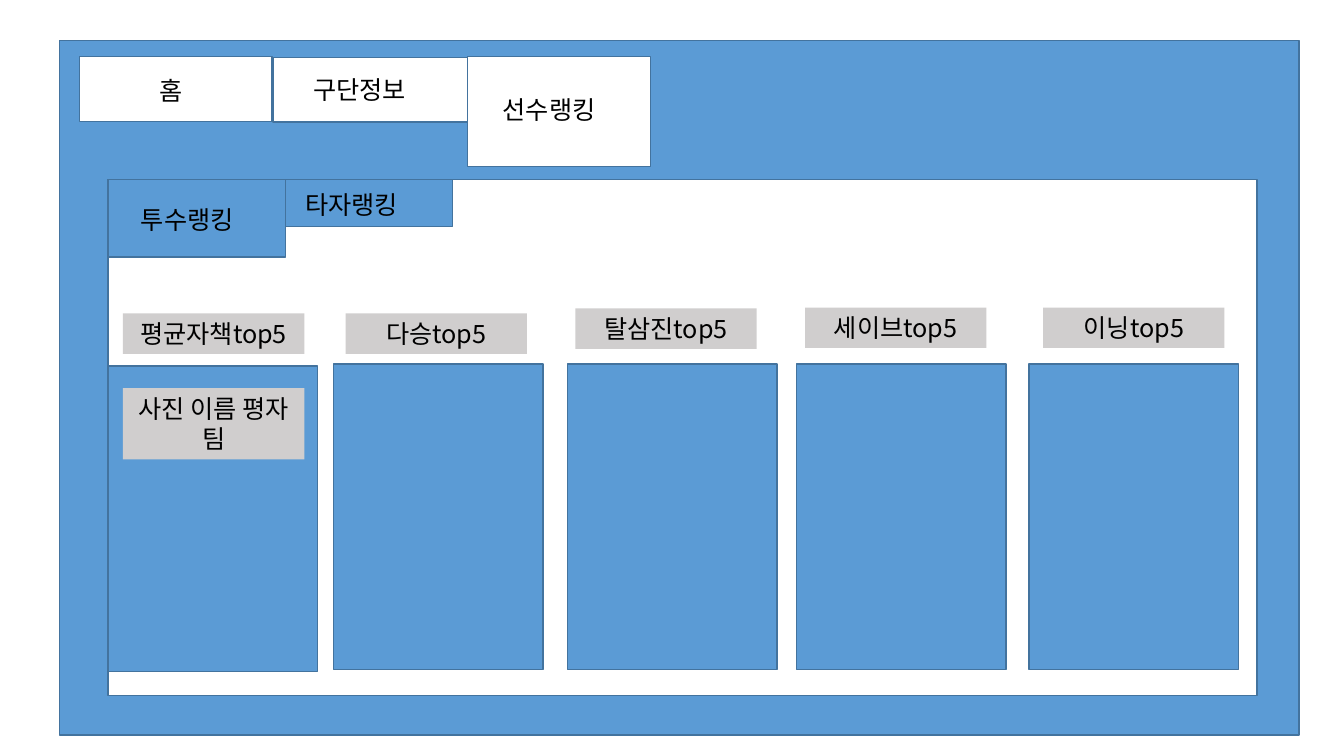
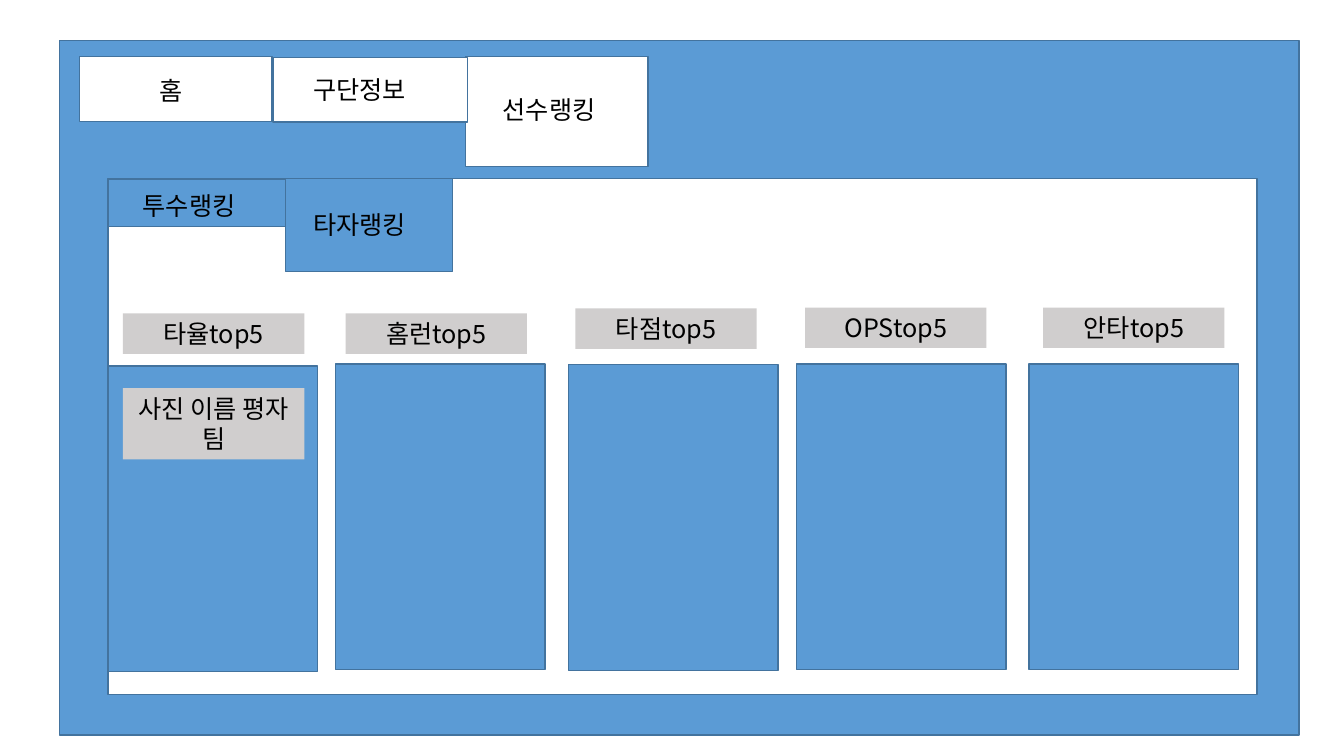
from dataclasses import dataclass
from lxml.etree import SubElement as Sub
from pptx import Presentation as Deck
from pptx.dml.color import RGBColor as Rgb
from pptx.enum.shapes import MSO_SHAPE as Kind
from pptx.enum.text import MSO_ANCHOR as Anchor, MSO_AUTO_SIZE as Fit, PP_ALIGN as Align
from pptx.oxml.ns import qn
from pptx.util import Cm, Pt

BLUE, EDGE, WHITE, GREY, BLACK = "5B9BD5", "43739E", "FFFFFF", "D0CECE", "000000"
FONT = "Noto Sans CJK KR"
ROW = 1.02
CARD = (5.28, 7.7)
LABEL = 4.57


@dataclass(frozen=True)
class Box:
    x: float
    y: float
    w: float
    h: float

    def size(self) -> tuple:
        return Cm(self.x), Cm(self.y), Cm(self.w), Cm(self.h)


@dataclass(frozen=True)
class Tab:
    name: str
    box: Box
    text: Box


@dataclass(frozen=True)
class Page:
    menu: float
    panel: float
    tabs: tuple[Tab, ...]
    cards: tuple[tuple[float, float], ...]
    names: tuple[str, ...]


FRAME = Box(1.5, 1.02, 31.24, 17.5)
ITEM = Box(3.1, 9.78, LABEL, 1.8)
HEADS = ((3.1, 7.9), (8.71, 7.9), (14.5, 7.77), (20.29, 7.75), (26.29, 7.75))

PAGES = (
    Page(
        11.79, 4.52,
        (Tab("투수랭킹", Box(2.72, 4.52, 4.47, 1.96), Box(3.3, 5.03, 3.68, ROW)),
         Tab("타자랭킹", Box(7.19, 4.52, 4.22, 1.19), Box(7.44, 4.65, 3.68, ROW))),
        ((2.72, 9.22), (8.41, 9.17), (14.3, 9.17), (20.07, 9.17), (25.93, 9.17)),
        ("평균자책top5", "다승top5", "탈삼진top5", "세이브top5", "이닝top5"),
    ),
    Page(
        11.73, 4.5,
        (Tab("투수랭킹", Box(2.72, 4.52, 4.47, 1.19), Box(3.35, 4.67, 3.68, ROW)),
         Tab("타자랭킹", Box(7.19, 4.5, 4.22, 2.34), Box(7.65, 5.16, 3.68, ROW))),
        ((2.72, 9.22), (8.46, 9.17), (14.33, 9.19), (20.07, 9.17), (25.93, 9.17)),
        ("타율top5", "홈런top5", "타점top5", "OPStop5", "안타top5"),
    ),
)


def tint(part, code: str) -> None:
    part.solid()
    part.fore_color.rgb = Rgb.from_string(code)


def write(shape, text: str, *, size: float = 18, color: str = BLACK,
          align=Align.LEFT, anchor=Anchor.TOP) -> None:
    frame = shape.text_frame
    frame.word_wrap = True
    frame.auto_size = Fit.SHAPE_TO_FIT_TEXT
    frame.vertical_anchor = anchor
    para = frame.paragraphs[0]
    para.alignment = align
    run = para.add_run()
    run.text = text
    run.font.size = Pt(size)
    run.font.name = FONT
    tint(run.font.fill, color)
    Sub(run.font._element, qn("a:ea"), typeface=FONT)


def block(slide, box: Box, fill: str, line: str = EDGE):
    shape = slide.shapes.add_shape(Kind.RECTANGLE, *box.size())
    shape.shadow.inherit = False
    tint(shape.fill, fill)
    if line:
        tint(shape.line.fill, line)
        shape.line.width = Pt(1)
    else:
        shape.line.fill.background()
    return shape


def label(slide, box: Box, text: str) -> None:
    write(block(slide, box, GREY, ""), text, align=Align.CENTER, anchor=Anchor.MIDDLE)


def strip(slide, tabs: tuple[Tab, ...], fill: str) -> None:
    for tab in tabs:
        block(slide, tab.box, fill)
    for tab in tabs:
        write(slide.shapes.add_textbox(*tab.text.size()), tab.name)


def menu(left: float) -> tuple[Tab, ...]:
    return (
        Tab("홈", Box(2.01, 1.42, 4.85, 1.65), Box(3.78, 1.78, 2.72, ROW)),
        Tab("선수랭킹", Box(left, 1.42, 4.6, 2.77), Box(12.42, 2.24, 3.28, ROW)),
        Tab("구단정보", Box(6.88, 1.45, 4.9, 1.63), Box(7.65, 1.75, 3.68, ROW)),
    )


def draw(slide, page: Page) -> None:
    block(slide, FRAME, BLUE)
    strip(slide, menu(page.menu), WHITE)
    block(slide, Box(2.72, page.panel, 28.96, 13), WHITE)
    strip(slide, page.tabs, BLUE)
    for spot in page.cards:
        block(slide, Box(*spot, *CARD), BLUE)
    for spot, name in zip(HEADS, page.names):
        label(slide, Box(*spot, LABEL, ROW), name)
    label(slide, ITEM, "사진 이름 평자 팀")


def main() -> None:
    deck = Deck()
    deck.slide_width, deck.slide_height = Cm(33.87), Cm(19.05)
    for page in PAGES:
        draw(deck.slides.add_slide(deck.slide_layouts[6]), page)
    deck.save("out.pptx")


if __name__ == "__main__":
    main()
